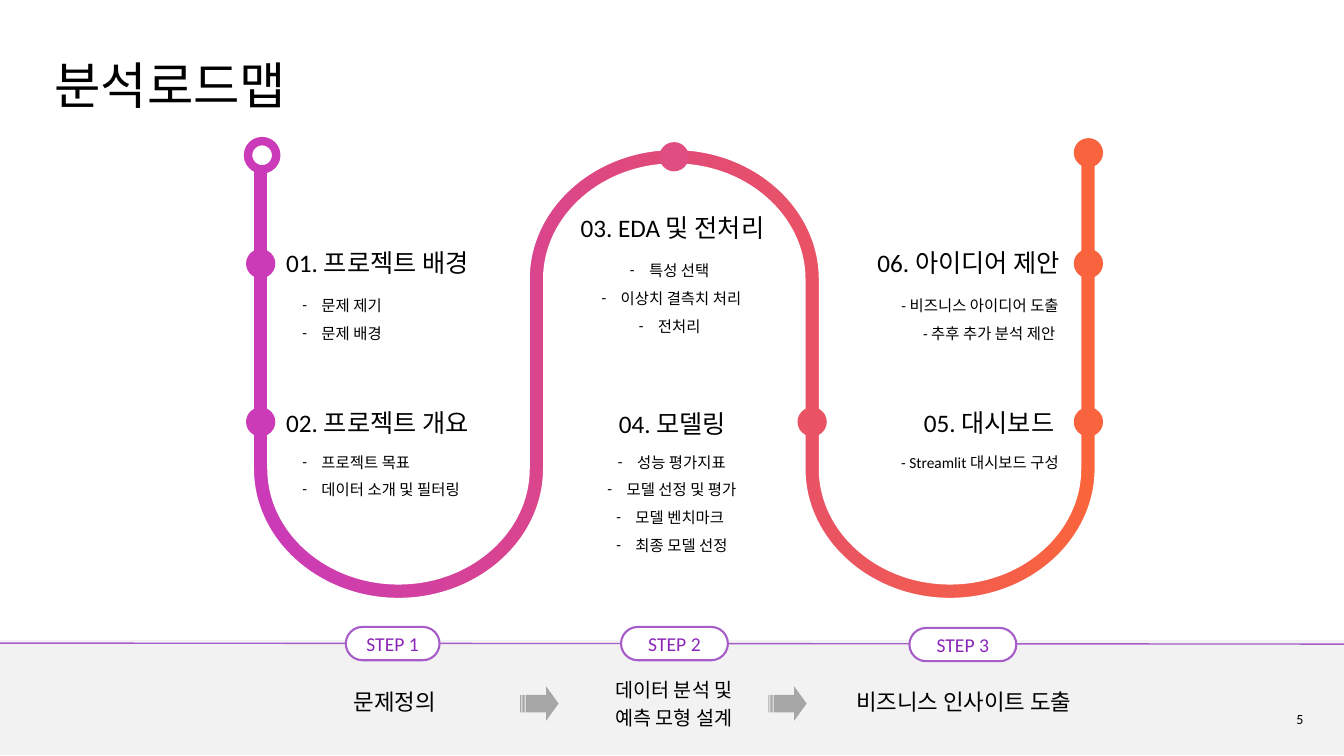
import copy

import pptx
import pptx.dml.color
import pptx.enum.shapes
import pptx.enum.text
import pptx.oxml.ns
import pptx.util
from lxml import etree

INCH = pptx.util.Inches
SHAPE = pptx.enum.shapes.MSO_SHAPE
ALIGN = pptx.enum.text.PP_ALIGN
qn = pptx.oxml.ns.qn
BLACK, WHITE, PURPLE, VIOLET = "000000", "FFFFFF", "A75DC9", "8A27B7"

deck = pptx.Presentation()
deck.slide_width, deck.slide_height = INCH(13.33), INCH(7.5)
page = deck.slides.add_slide(deck.slide_layouts[6])


def paint(shape, fill, line=None, weight=0):
    """Give a shape a flat fill and an optional outline, without shadow."""
    shape.shadow.inherit = False
    shape.fill.solid()
    shape.fill.fore_color.rgb = pptx.dml.color.RGBColor.from_string(fill)
    if line:
        shape.line.color.rgb = pptx.dml.color.RGBColor.from_string(line)
        shape.line.width = pptx.util.Pt(weight)
    else:
        shape.line.fill.background()


def write(shape, lines, size, align, color=BLACK, spacing=None, before=0, bullet=False):
    """Fill a shape with one paragraph for each line."""
    frame = shape.text_frame
    frame.word_wrap = True
    for index, line in enumerate(lines):
        para = frame.add_paragraph() if index else frame.paragraphs[0]
        para.alignment = align
        if spacing:
            para.line_spacing = spacing
        if before and index:
            para.space_before = pptx.util.Pt(before)
        if bullet:
            props = para._p.get_or_add_pPr()
            props.set("marL", str(INCH(0.19)))
            props.set("indent", str(-INCH(0.19)))
            etree.SubElement(props, qn("a:buFont")).set("typeface", "Calibri")
            etree.SubElement(props, qn("a:buChar")).set("char", "-")
        span = para.add_run()
        span.text = line
        span.font.size = pptx.util.Pt(size)
        span.font.name = "Calibri"
        span.font.color.rgb = pptx.dml.color.RGBColor.from_string(color)


# Footer band and its rule
band = page.shapes.add_shape(SHAPE.RECTANGLE, 0, INCH(6.35), deck.slide_width, INCH(1.14))
paint(band, "F2F2F2")

title = page.shapes.add_textbox(INCH(0.44), INCH(0.49), INCH(5.2), INCH(0.71))
write(title, ["분석로드맵"], 36, ALIGN.LEFT)

rule = page.shapes.add_connector(pptx.enum.shapes.MSO_CONNECTOR.STRAIGHT,
                                 deck.slide_width, INCH(6.39), 0, INCH(6.38))
rule.line.color.rgb = pptx.dml.color.RGBColor.from_string(PURPLE)
rule.line.width = pptx.util.Pt(1)
etree.SubElement(rule._element.spPr, qn("a:effectLst"))

# Winding road: out along one edge, back along the other
FIRST_LANE, LANE_STEP, HALF_WIDTH = 2.585, 2.735, 0.085
ROAD_TOP, TOP_BEND, BOTTOM_BEND, BEND_DEPTH = 1.53, 2.77, 4.65, 1.215
PULL = 0.55  # handle length of a quarter ellipse
HALF_TURN = ((-1, 0), (-1, PULL), (-PULL, 1), (0, 1), (PULL, 1), (1, PULL), (1, 0))
lanes = [FIRST_LANE + LANE_STEP * column for column in range(4)]
outline, curve_starts = [], []
for side, bends in ((1, (0, 1, 2)), (-1, (2, 1, 0))):
    first, last = (lanes[0], lanes[3]) if side == 1 else (lanes[3], lanes[0])
    outline.append((first - HALF_WIDTH, ROAD_TOP))
    for bend in bends:
        down = -1 if bend == 1 else 1
        center = (lanes[bend] + lanes[bend + 1]) / 2
        level = BOTTOM_BEND if down == 1 else TOP_BEND
        widen = HALF_WIDTH * side * down
        curve_starts += [len(outline), len(outline) + 3]
        for across, deep in HALF_TURN:
            outline.append((center + side * across * (LANE_STEP / 2 + widen),
                            level + down * deep * (BEND_DEPTH + widen)))
    outline.append((last + HALF_WIDTH, ROAD_TOP))
points = [(INCH(x), INCH(y)) for x, y in outline]
builder = page.shapes.build_freeform(*points[0])
builder.add_line_segments(points[1:], close=True)
road = builder.convert_to_shape()
segments = road._element.spPr.findall(".//" + qn("a:lnTo"))
for begin in curve_starts:
    handles = segments[begin:begin + 3]
    curve = etree.Element(qn("a:cubicBezTo"))
    handles[0].addprevious(curve)
    for handle in handles:
        curve.append(handle[0])
        handle.getparent().remove(handle)
paint(road, WHITE, WHITE, 2.75)
road.fill.gradient()
road.fill.gradient_angle = 180
stop_list = road._element.spPr.find(".//" + qn("a:gsLst"))
stop_list.append(copy.deepcopy(stop_list[-1]))
for stop, (position, color) in zip(road.fill.gradient_stops,
                                   ((0, "FA653C"), (0.5, "E14A77"), (1, "CA3AB9"))):
    stop.position = position
    stop.color.rgb = pptx.dml.color.RGBColor.from_string(color)

# Markers on the road
start = page.shapes.add_shape(SHAPE.OVAL, INCH(2.46), INCH(1.4), INCH(0.28), INCH(0.28))
paint(start, WHITE, "CB3AB8", 6)
for left, top, color in (
    (2.44, 2.47, "CB3BB7"), (2.44, 4.04, "CB3BB7"), (6.54, 1.41, "E04D81"),
    (10.65, 1.37, "F9643E"), (10.65, 2.47, "F9643E"), (10.65, 4.04, "F9643E"),
    (7.91, 4.04, "EA5363"),
):
    dot = page.shapes.add_shape(SHAPE.OVAL, INCH(left), INCH(top), INCH(0.29), INCH(0.29))
    paint(dot, color)

# Topics: heading left and top, detail left, top and width, heading and detail alignment
for heading, x, y, detail_x, detail_y, width, align, detail_align, details in (
    ("01. 프로젝트 배경", 2.74, 2.4, 2.9, 2.8, 2.62, ALIGN.LEFT, ALIGN.JUSTIFY,
     ["문제 제기", "문제 배경"]),
    ("02. 프로젝트 개요", 2.74, 3.99, 2.9, 4.35, 2.62, ALIGN.LEFT, ALIGN.JUSTIFY,
     ["프로젝트 목표", "데이터 소개 및 필터링"]),
    ("03. EDA 및 전처리", 5.53, 2.06, 5.43, 2.45, 2.46, ALIGN.CENTER, ALIGN.CENTER,
     ["특성 선택 ", "이상치 결측치 처리", "전처리 "]),
    ("06. 아이디어 제안", 8.33, 2.4, 7.98, 2.8, 2.62, ALIGN.RIGHT, ALIGN.RIGHT,
     ["- 비즈니스 아이디어 도출", "- 추후 추가 분석 제안 "]),
    ("04. 모델링", 5.53, 4, 5.65, 4.35, 2.03, ALIGN.CENTER, ALIGN.CENTER,
     ["성능 평가지표", "모델 선정 및 평가", "모델 벤치마크 ", "최종 모델 선정"]),
    ("05. 대시보드 ", 8.33, 3.99, 7.98, 4.35, 2.62, ALIGN.RIGHT, ALIGN.RIGHT,
     ["- Streamlit 대시보드 구성"]),
):
    box = page.shapes.add_textbox(INCH(x), INCH(y), INCH(2.28), INCH(0.42))
    write(box, [heading], 18, align)
    box = page.shapes.add_textbox(INCH(detail_x), INCH(detail_y), INCH(width),
                                  INCH(0.07 + 0.28 * len(details)))
    write(box, details, 11, detail_align, spacing=1.5, bullet=align != ALIGN.RIGHT)

# Steps: pill and caption
for number, (x, y, width, text_x, text_y, text_width, size, caption) in enumerate((
    (3.43, 6.22, 0.93, 2.94, 6.78, 1.95, 16, ["문제정의"]),
    (6.16, 6.22, 1.06, 5.71, 6.68, 1.95, 14, ["데이터 분석 및", "예측 모형 설계"]),
    (9.02, 6.23, 1.06, 8.09, 6.78, 2.94, 16, ["비즈니스 인사이트 도출"]),
), start=1):
    pill = page.shapes.add_shape(SHAPE.ROUNDED_RECTANGLE, INCH(x), INCH(y),
                                 INCH(width), INCH(0.33))
    pill.adjustments[0] = 0.5
    paint(pill, WHITE, PURPLE, 1.5)
    write(pill, [f"STEP {number}"], 14, ALIGN.CENTER, VIOLET)
    box = page.shapes.add_textbox(INCH(text_x), INCH(text_y), INCH(text_width),
                                  INCH(0.07 + 0.3 * len(caption)))
    write(box, caption, size, ALIGN.CENTER, before=3)

for left in (5.16, 7.62):
    arrow = page.shapes.add_shape(SHAPE.STRIPED_RIGHT_ARROW, INCH(left), INCH(6.81),
                                  INCH(0.38), INCH(0.34))
    arrow.adjustments[0], arrow.adjustments[1] = 0.51, 0.36
    paint(arrow, "A6A6A6")

page_number = page.shapes.add_textbox(INCH(12.76), INCH(6.92), INCH(0.3), INCH(0.33))
write(page_number, ["5"], 10, ALIGN.JUSTIFY, spacing=1.5)

deck.save("out.pptx")
